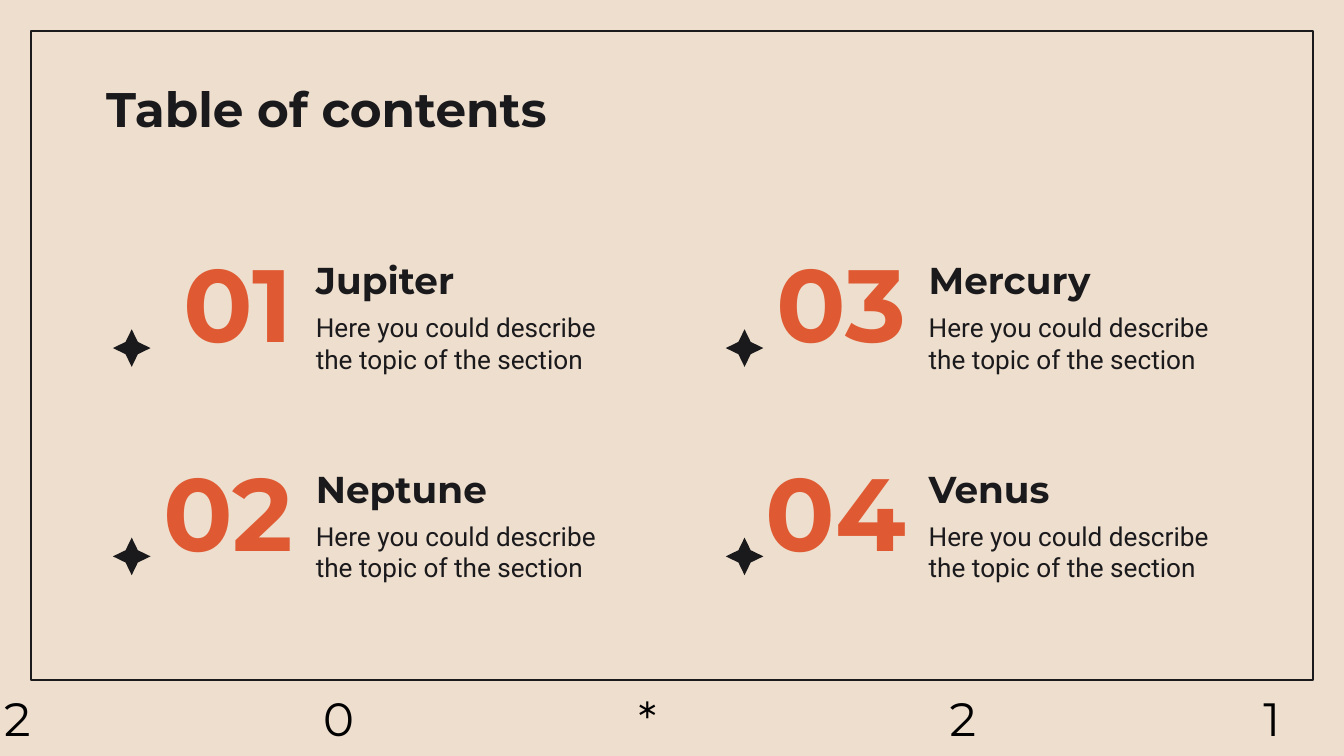
from pptx import Presentation
from pptx.dml.color import RGBColor
from pptx.enum.shapes import MSO_SHAPE as Shape
from pptx.enum.text import MSO_ANCHOR as Anchor, MSO_AUTO_SIZE as Fit, PP_ALIGN as Align
from pptx.util import Inches, Pt

# Content
TITLE = "Table of contents"
NOTE = "Here you could describe the topic of the section"
TOPICS = [
    ("01", "Jupiter", NOTE),
    ("02", "Neptune", NOTE),
    ("03", "Mercury", NOTE),
    ("04", "Venus", NOTE),
]
# Footer marks, each with its indent
FOOT = [("2", 0.01), ("0", 0.04), ("*", 0.04), ("2", 0.01), ("1", 0)]

THEME = {
    "paper": "EEDECD", "ink": "1A191C", "accent": "DF5A32", "black": "000000",
    "head": "Montserrat", "body": "Roboto",
    "title": 26, "topic": 20, "note": 14, "number": 55, "foot": 25,
}

# Grid: topics run down each column of a 16:9 page
WIDTH = 10
HEIGHT = WIDTH * 9 / 16
LEFT, TOP = 0.84, 1.72
COL, ROW = 4.56, 1.55
ROWS = 2
FOOT_LEFT, FOOT_END = 0.02, 9.4
FOOT_STEP = (FOOT_END - FOOT_LEFT) / (len(FOOT) - 1)


def color(name):
    return RGBColor.from_string(THEME[name])


def write(slide, text, box, size, shape=None, font="head", ink="ink", bold=True,
          align=Align.LEFT, anchor=Anchor.TOP, indent=0):
    shape = shape or slide.shapes.add_textbox(0, 0, 0, 0)
    shape.left, shape.top, shape.width, shape.height = map(Inches, box)
    frame = shape.text_frame
    frame.word_wrap = True
    frame.auto_size = Fit.NONE
    frame.vertical_anchor = anchor
    frame.margin_left, frame.margin_right = Inches(indent), 0
    frame.margin_top = frame.margin_bottom = Inches(0.1)
    para = frame.paragraphs[0]
    para.alignment = align
    para.space_before = Pt(0)
    run = para.add_run()
    run.text = text
    run.font.name = THEME[font]
    run.font.size = Pt(THEME[size])
    run.font.bold = bold
    run.font.color.rgb = color(ink)


def draw(slide, kind, *box):
    shape = slide.shapes.add_shape(kind, *map(Inches, box))
    shape.shadow.inherit = False
    return shape


def main():
    deck = Presentation()
    deck.slide_width, deck.slide_height = Inches(WIDTH), Inches(HEIGHT)
    slide = deck.slides.add_slide(deck.slide_layouts[5])
    slide.background.fill.solid()
    slide.background.fill.fore_color.rgb = color("paper")

    # Frame
    frame = draw(slide, Shape.RECTANGLE, 0.23, 0.23, 9.54, 4.83)
    frame.fill.background()
    frame.line.color.rgb = color("ink")
    frame.line.width = Pt(0.75)

    # Footer marks
    for i, (mark, indent) in enumerate(FOOT):
        write(slide, mark, (FOOT_LEFT + i * FOOT_STEP, 5.03, 0.59, 0.62), "foot",
              ink="black", bold=False, indent=indent)

    # Title
    write(slide, TITLE, (0.79, 0.49, 8.43, 0.63), "title", shape=slide.shapes.title)

    # Topics
    for i, (number, name, note) in enumerate(TOPICS):
        col, row = divmod(i, ROWS)
        x, y = LEFT + col * COL, TOP + row * ROW
        write(slide, name, (x + 1.51, y, 1.91, 0.63), "topic", anchor=Anchor.BOTTOM)
        write(slide, note, (x + 1.51, y + 0.5, 2.13, 0.69), "note",
              font="body", bold=False)
        write(slide, number, (x + 0.2, y + 0.21, 1.14, 0.63), "number",
              ink="accent", align=Align.RIGHT, anchor=Anchor.MIDDLE)
        star = draw(slide, Shape.STAR_4_POINT, x, y + 0.73, 0.28, 0.28)
        star.adjustments[0] = 0.23
        star.fill.solid()
        star.fill.fore_color.rgb = color("ink")
        star.line.fill.background()

    deck.save("out.pptx")


if __name__ == "__main__":
    main()
